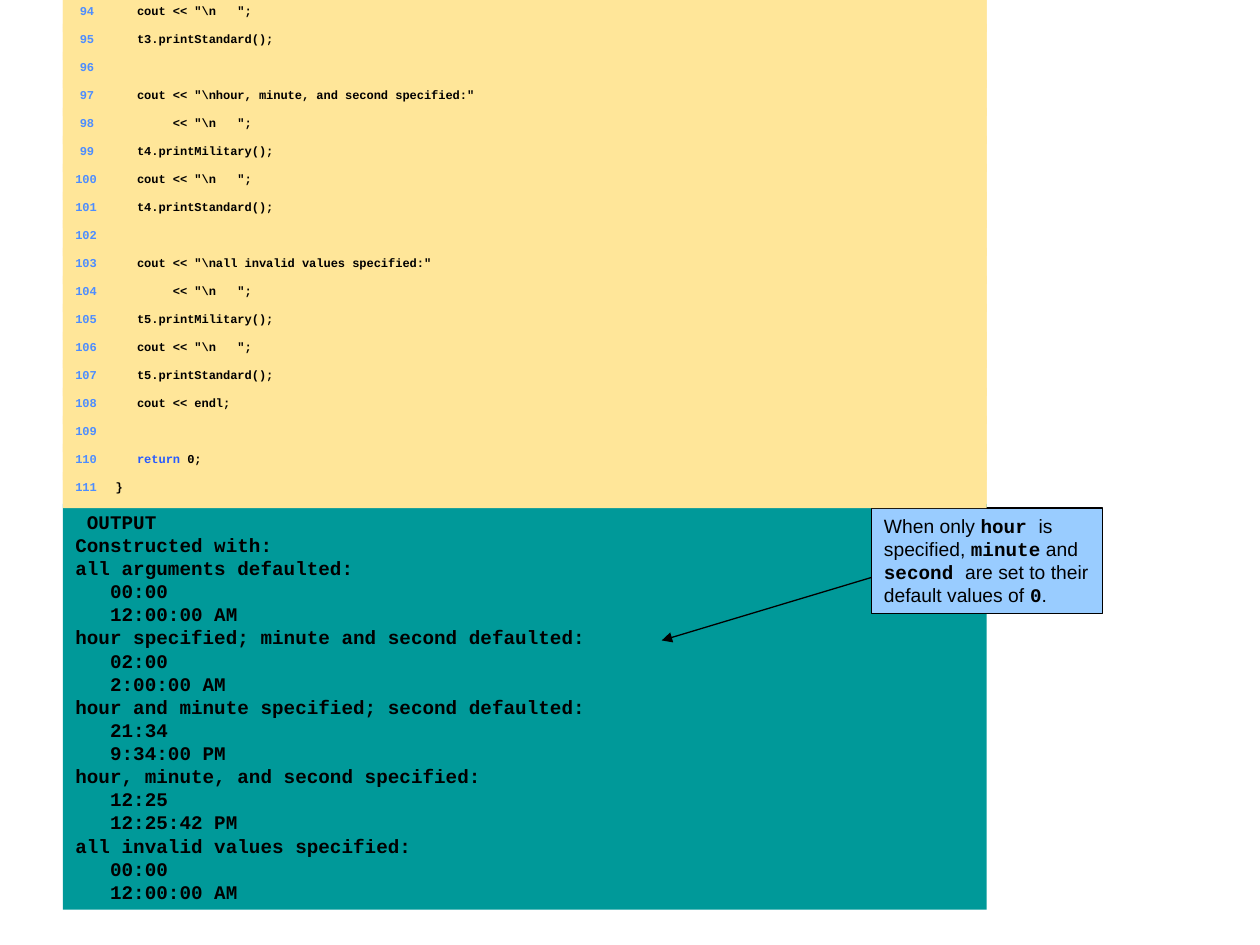
from lxml import etree
from pptx import Presentation
from pptx import util as u
from pptx.dml.color import RGBColor
from pptx.enum import shapes, text
from pptx.oxml import ns

BLACK = RGBColor(0x00, 0x00, 0x00)
TEAL = RGBColor(0x00, 0x99, 0x99)
SKY = RGBColor(0x99, 0xCC, 0xFF)
SAND = RGBColor(0xFF, 0xE6, 0x99)
NUMBER_BLUE = RGBColor(0x4D, 0x8D, 0xFF)
KEYWORD_BLUE = RGBColor(0x27, 0x5A, 0xFF)
LEFT, WIDTH = u.Cm(1.27), u.Cm(18.62)


def add_box(parent, left, top, width, height, fill):
    box = parent.shapes.add_shape(shapes.MSO_SHAPE.RECTANGLE, left, top, width, height)
    box.shadow.inherit = False
    box.fill.solid()
    box.fill.fore_color.rgb = fill
    box.line.fill.background()
    box.text_frame.word_wrap = True
    box.text_frame.vertical_anchor = text.MSO_ANCHOR.TOP
    box.text_frame.paragraphs[0].alignment = text.PP_ALIGN.LEFT
    return box


def add_span(para, words, size=11, font="Courier New", color=BLACK, bold=True):
    para.alignment = text.PP_ALIGN.LEFT
    span = para.add_run()
    span.text = words
    span.font.size = u.Pt(size)
    span.font.name = font
    span.font.color.rgb = color
    span.font.bold = bold


deck = Presentation()
deck.slide_width, deck.slide_height = u.Cm(25.4), u.Cm(19.05)
page = deck.slides.add_slide(deck.slide_layouts[6])

# Program output
OUTPUT = """ OUTPUT
Constructed with:
all arguments defaulted:
   00:00
   12:00:00 AM
hour specified; minute and second defaulted:
   02:00
   2:00:00 AM
hour and minute specified; second defaulted:
   21:34
   9:34:00 PM
hour, minute, and second specified:
   12:25
   12:25:42 PM
all invalid values specified:
   00:00
   12:00:00 AM"""
box = add_box(page, LEFT, u.Cm(10.16), WIDTH, u.Cm(8.18), TEAL)
box.text_frame.auto_size = text.MSO_AUTO_SIZE.SHAPE_TO_FIT_TEXT
for index, line in enumerate(OUTPUT.splitlines()):
    para = box.text_frame.paragraphs[0] if index == 0 else box.text_frame.add_paragraph()
    add_span(para, line)

# Callout: every second piece is code
NOTE = ["When only ", "hour ", "is specified, ", "minute", " and ", "second ",
        "are set to their default values of ", "0", "."]
callout = page.shapes.add_group_shape()
box = add_box(callout, u.Cm(17.57), u.Cm(10.24), u.Cm(4.66), u.Cm(2.13), SKY)
box.text_frame.auto_size = text.MSO_AUTO_SIZE.SHAPE_TO_FIT_TEXT
box.line.color.rgb = BLACK
box.line.width = u.Pt(0.75)
for index, words in enumerate(NOTE):
    is_code = index % 2 == 1
    add_span(box.text_frame.paragraphs[0], words,
             font="Courier New" if is_code else "Arial", bold=is_code)

# Arrow from the callout to the output
arrow = callout.shapes.add_connector(shapes.MSO_CONNECTOR.STRAIGHT,
                                     u.Cm(17.57), u.Cm(11.64), u.Cm(13.34), u.Cm(12.91))
arrow.line.color.rgb = BLACK
arrow.line.width = u.Pt(0.75)
etree.SubElement(arrow.line._get_or_add_ln(), ns.qn("a:tailEnd"), type="triangle")
etree.SubElement(arrow._element.spPr, ns.qn("a:effectLst"))

# Code listing: a background band and a numbered line per row
FIRST_NUMBER = 94
ROW_HEIGHT = u.Cm(10.16 / 18)
CODE = r'''   cout << "\n   ";
   t3.printStandard();

   cout << "\nhour, minute, and second specified:"
        << "\n   ";
   t4.printMilitary();
   cout << "\n   ";
   t4.printStandard();

   cout << "\nall invalid values specified:"
        << "\n   ";
   t5.printMilitary();
   cout << "\n   ";
   t5.printStandard();
   cout << endl;

   return 0;
}'''
listing = page.shapes.add_group_shape()
for row, line in enumerate(CODE.splitlines()):
    top = row * ROW_HEIGHT
    add_box(listing, LEFT, top - u.Cm(0.08), WIDTH, u.Cm(0.73), SAND)
    box = add_box(listing, LEFT, top, WIDTH, ROW_HEIGHT, SAND)
    para = box.text_frame.paragraphs[0]
    para.line_spacing = 0.8
    tabs = etree.SubElement(para._p.get_or_add_pPr(), ns.qn("a:tabLst"))
    for position, side in ((0.38, "r"), (0.81, "l")):
        etree.SubElement(tabs, ns.qn("a:tab"), pos=str(u.Cm(position)), algn=side)
    add_span(para, f"\t{FIRST_NUMBER + row}\t", size=6.9, color=NUMBER_BLUE)
    before, keyword, after = line.partition("return")
    for words, color in ((before, BLACK), (keyword, KEYWORD_BLUE), (after, BLACK)):
        if words:
            add_span(para, words, size=6.9, color=color)

deck.save("out.pptx")
